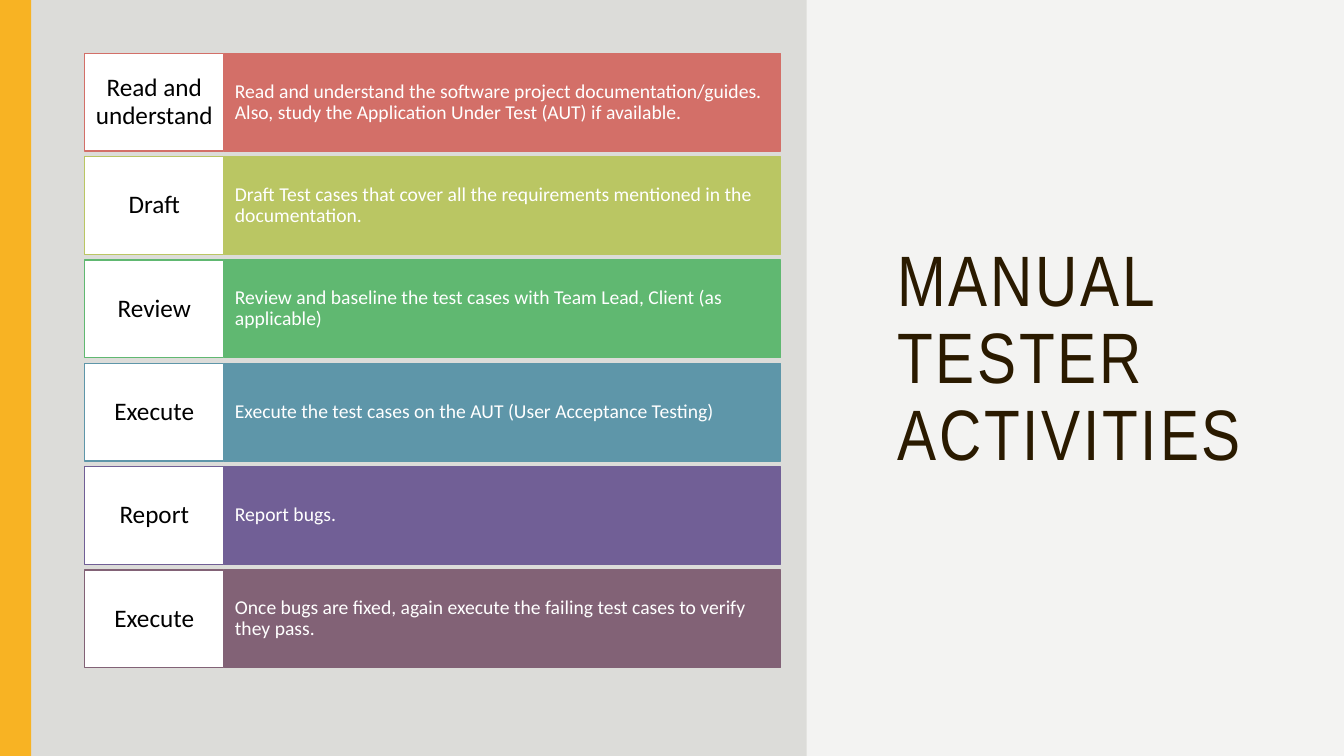
import dataclasses

import pptx
import pptx.dml.color
import pptx.enum.shapes
import pptx.enum.text
import pptx.util

Inches = pptx.util.Inches
Align = pptx.enum.text.PP_ALIGN


@dataclasses.dataclass(frozen=True)
class Theme:
    background: str = "F3F3F2"
    panel: str = "DCDCD9"
    bar: str = "F8B323"
    title: str = "2A1A00"
    white: str = "FFFFFF"
    black: str = "000000"
    heading_font: str = "Arial Narrow"
    body_font: str = "Calibri"
    title_size: int = 51
    label_size: int = 18
    detail_size: int = 14


THEME = Theme()
SLIDE_W, SLIDE_H = 13.33, 7.5

# Activity grid: label column, detail column and row pitch
GRID_LEFT, GRID_TOP = 0.84, 0.53
LABEL_W, DETAIL_W = 1.38, 5.52
ROW_H, ROW_PITCH = 0.97, 1.025

ACTIVITIES = [
    ("Read and understand", "D36F68",
     "Read and understand the software project documentation/guides. "
     "Also, study the Application Under Test (AUT) if available."),
    ("Draft", "BAC663",
     "Draft Test cases that cover all the requirements mentioned in the documentation."),
    ("Review", "60B871",
     "Review and baseline the test cases with Team Lead, Client (as applicable)"),
    ("Execute", "5E96A9",
     "Execute the test cases on the AUT (User Acceptance Testing)"),
    ("Report", "715F96", "Report bugs."),
    ("Execute", "826276",
     "Once bugs are fixed, again execute the failing test cases to verify they pass."),
]

# Wavy edge: (depth, height) along the first half of one wave
WAVE_LEFT, WAVE_PERIOD, WAVE_COUNT = 8.08, 1.5, 5
HALF_WAVE = [(0, 0), (0, 0.07), (0.01, 0.14), (0.02, 0.2), (0.04, 0.25),
             (0.06, 0.29), (0.08, 0.33), (0.1, 0.38), (0.12, 0.42),
             (0.14, 0.46), (0.16, 0.5), (0.17, 0.55), (0.19, 0.61),
             (0.19, 0.68), (0.2, 0.75)]


def rgb(code):
    return pptx.dml.color.RGBColor.from_string(code)


def paint(sp, fill, line=None):
    sp.shadow.inherit = False
    sp.fill.solid()
    sp.fill.fore_color.rgb = rgb(fill)
    if line:
        sp.line.color.rgb = rgb(line)
        sp.line.width = pptx.util.Pt(1)
    else:
        sp.line.fill.background()


def write(sp, text, font, size, color, align):
    tf = sp.text_frame
    tf.text = text
    tf.word_wrap = True
    tf.auto_size = pptx.enum.text.MSO_AUTO_SIZE.NONE
    tf.vertical_anchor = pptx.enum.text.MSO_ANCHOR.MIDDLE
    p = tf.paragraphs[0]
    p.alignment = align
    p.line_spacing = 0.9
    r = p.runs[0]
    r.font.name = font
    r.font.size = pptx.util.Pt(size)
    r.font.color.rgb = rgb(color)
    return r


def add_rect(s, left, top, width, height, fill, line=None):
    sp = s.shapes.add_shape(pptx.enum.shapes.MSO_SHAPE.RECTANGLE, Inches(left),
                            Inches(top), Inches(width), Inches(height))
    paint(sp, fill, line)
    return sp


def add_cell(s, box, fill, line, margins, text, size, color, align):
    sp = add_rect(s, *box, fill, line)
    tf = sp.text_frame
    tf.margin_left = tf.margin_right = Inches(margins[0])
    tf.margin_top = tf.margin_bottom = Inches(margins[1])
    write(sp, text, THEME.body_font, size, color, align)


def add_wavy_panel(s):
    # The second half of each wave mirrors the first
    wave = HALF_WAVE + [(x, WAVE_PERIOD - y) for x, y in HALF_WAVE[-2:0:-1]]
    edge = [(WAVE_LEFT + x, i * WAVE_PERIOD + y)
            for i in range(WAVE_COUNT) for x, y in wave]
    points = edge + [(WAVE_LEFT, SLIDE_H), (0, SLIDE_H)]
    fb = s.shapes.build_freeform(0, 0, scale=Inches(1))
    fb.add_line_segments(points, close=True)
    paint(fb.convert_to_shape(), THEME.panel)


def add_activity(s, row, label, color, detail):
    top = GRID_TOP + row * ROW_PITCH
    add_cell(s, (GRID_LEFT + LABEL_W, top, DETAIL_W, ROW_H), color, color,
             (0.11, 0.25), detail, THEME.detail_size, THEME.white, Align.LEFT)
    add_cell(s, (GRID_LEFT, top, LABEL_W, ROW_H), THEME.white, color,
             (0.07, 0.1), label, THEME.label_size, THEME.black, Align.CENTER)


def set_title(s, text):
    sp = s.shapes.title
    sp.left, sp.top = Inches(8.8), Inches(GRID_TOP)
    sp.width, sp.height = Inches(4), Inches(6.09)
    r = write(sp, text, THEME.heading_font, THEME.title_size, THEME.title, Align.LEFT)
    r.font._element.set("spc", "200")  # letter spacing, hundredths of a point


def main():
    prs = pptx.Presentation()
    prs.slide_width, prs.slide_height = Inches(SLIDE_W), Inches(SLIDE_H)
    s = prs.slides.add_slide(prs.slide_layouts.get_by_name("Title Only"))
    s.background.fill.solid()
    s.background.fill.fore_color.rgb = rgb(THEME.background)

    # Backdrop and title
    add_wavy_panel(s)
    add_rect(s, 0, 0, 0.31, SLIDE_H, THEME.bar)
    set_title(s, "MANUAL TESTER ACTIVITIES")

    # Activity rows
    for row, activity in enumerate(ACTIVITIES):
        add_activity(s, row, *activity)

    prs.save("out.pptx")


main()
